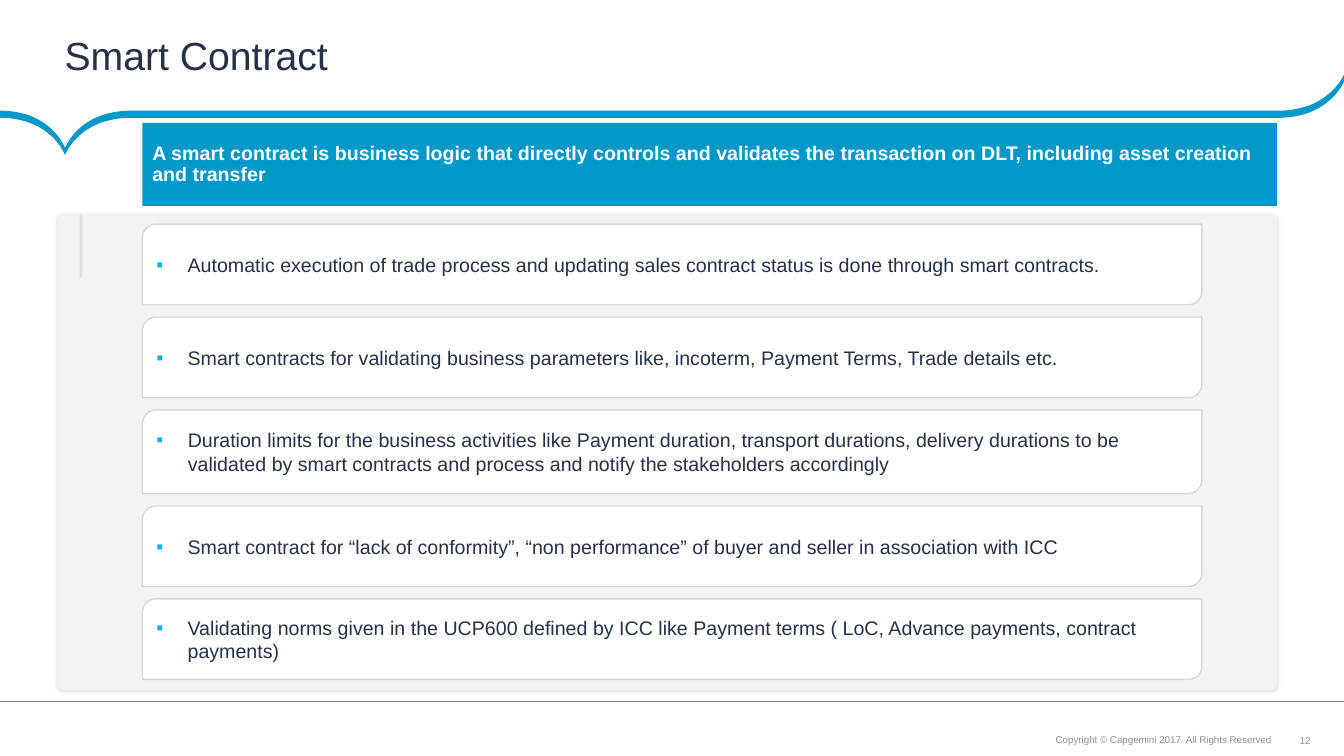
from dataclasses import dataclass

from lxml import etree
from pptx import Presentation
from pptx.dml.color import RGBColor
from pptx.enum.shapes import MSO_CONNECTOR, MSO_SHAPE
from pptx.enum.text import MSO_ANCHOR, PP_ALIGN
from pptx.oxml import parse_xml
from pptx.oxml.ns import qn
from pptx.util import Cm, Pt

RECT = MSO_SHAPE.RECTANGLE
ROUND = MSO_SHAPE.ROUNDED_RECTANGLE
DIAG = MSO_SHAPE.ROUND_2_DIAG_RECTANGLE
LINE = MSO_CONNECTOR.STRAIGHT
MIDDLE, BOTTOM = MSO_ANCHOR.MIDDLE, MSO_ANCHOR.BOTTOM
LEFT, CENTER, RIGHT = PP_ALIGN.LEFT, PP_ALIGN.CENTER, PP_ALIGN.RIGHT
SPACE = "http://schemas.openxmlformats.org/drawingml/2006/main"


@dataclass(frozen=True)
class Theme:
    font: str = "Arial"
    ink: RGBColor = RGBColor(0x26, 0x31, 0x47)
    blue: RGBColor = RGBColor(0x00, 0x98, 0xC7)
    panel: RGBColor = RGBColor(0xF2, 0xF3, 0xF4)
    white: RGBColor = RGBColor(0xFF, 0xFF, 0xFF)
    edge: RGBColor = RGBColor(0xD9, 0xD9, 0xD9)
    rule: RGBColor = RGBColor(0x80, 0x80, 0x80)
    note: RGBColor = RGBColor(0x99, 0x8C, 0x85)
    bullet: str = "00B0F0"
    title: Pt = Pt(28)
    body: Pt = Pt(14)
    small: Pt = Pt(7)


theme = Theme()


def write(shape, text, size, color, anchor=MIDDLE, align=LEFT, bold=False):
    frame = shape.text_frame
    frame.word_wrap = True
    frame.vertical_anchor = anchor
    frame.text = text
    para = frame.paragraphs[0]
    para.alignment = align
    font = para.runs[0].font
    font.name, font.size, font.bold = theme.font, size, bold
    font.color.rgb = color
    return para


def paint(shape, color):
    shape.fill.solid()
    shape.fill.fore_color.rgb = color
    shape.line.fill.background()


deck = Presentation()
deck.slide_width, deck.slide_height = Cm(33.87), Cm(19.05)
slide = deck.slides.add_slide(deck.slide_layouts[6])
shapes = slide.shapes

page = shapes.add_textbox(Cm(32.74), Cm(18.52), Cm(0.3), Cm(0.3))
frame = page.text_frame
frame.margin_left = frame.margin_right = frame.margin_top = frame.margin_bottom = 0
write(page, "12", theme.small, theme.note, align=CENTER)
frame.word_wrap = False

tip, turn, left = (33.87, 1.88), (32.21, 2.79), (3.3, 2.79)
low, end = (1.64, 3.73), (0, 2.79)
top = [tip, tip, (33.5, 2.79), turn, left, left, left,
       (1.98, 2.79), low, low, low, (1.3, 2.79), end]
base = [(x, y + 0.18) for x, y in reversed(top)]
ring = top + [base[0]] * 3 + base[1:] + [tip] * 3
points = [(Cm(x), Cm(y)) for x, y in ring]
pen = shapes.build_freeform(*points[0])
pen.add_line_segments(points[1:], close=True)
ribbon = pen.convert_to_shape()
ribbon.shadow.inherit = False
paint(ribbon, theme.blue)
steps = list(ribbon._element.iter(qn("a:lnTo")))
for first, second, third in zip(steps[::3], steps[1::3], steps[2::3]):
    bend = etree.Element(qn("a:cubicBezTo"))
    first.addprevious(bend)
    for step in (first, second, third):
        bend.append(step[0])
        step.getparent().remove(step)

rights = shapes.add_textbox(Cm(23.04), Cm(18.39), Cm(9.1), Cm(0.51))
frame = rights.text_frame
frame.margin_left = frame.margin_right = frame.margin_top = frame.margin_bottom = Cm(0.1)
para = write(rights, "Copyright © Capgemini 2017. All Rights Reserved",
             theme.small, theme.note, BOTTOM, RIGHT)
para.line_spacing = 0.9

title = shapes.add_textbox(0, 0, Cm(33.87), Cm(2.79))
frame = title.text_frame
frame.margin_left, frame.margin_right = Cm(1.63), Cm(0.46)
frame.margin_top = frame.margin_bottom = Cm(0.1)
write(title, "Smart Contract", theme.title, theme.ink)

banner = shapes.add_shape(RECT, Cm(3.59), Cm(3.1), Cm(28.59), Cm(2.09))
banner.shadow.inherit = False
paint(banner, theme.blue)
para = write(
    banner,
    "A smart contract is business logic that directly controls and validates "
    "the transaction on DLT, including asset creation and transfer",
    theme.body, theme.white, bold=True)
para.line_spacing = 0.9

group = shapes.add_group_shape()
panel = group.shapes.add_shape(ROUND, Cm(1.45), Cm(5.4), Cm(30.73), Cm(11.99))
panel.adjustments[0] = 0.012
paint(panel, theme.panel)
panel._element.spPr.append(parse_xml(
    f'<a:effectLst xmlns:a="{SPACE}">'
    '<a:outerShdw blurRad="38100" dist="12700" dir="5400000">'
    '<a:srgbClr val="000000"><a:alpha val="15000"/></a:srgbClr>'
    '</a:outerShdw></a:effectLst>'))

lines = [
    (shapes, 33.87, 17.68, 0, 17.68, theme.rule, 0.75),
    (group.shapes, 2.04, 5.4, 2.04, 6.98, theme.ink, 2),
]
for home, x1, y1, x2, y2, color, width in lines:
    line = home.add_connector(LINE, Cm(x1), Cm(y1), Cm(x2), Cm(y2))
    line.line.color.rgb = color
    line.line.width = Pt(width)
    etree.SubElement(line._element.spPr, qn("a:effectLst"))
tint = line._element.spPr.find(".//" + qn("a:srgbClr"))
etree.SubElement(tint, qn("a:alpha"), val="10000")

cards = [
    ("Automatic execution of trade process and updating sales contract status "
     "is done through smart contracts.", 2.03),
    ("Smart contracts for validating business parameters like, incoterm, "
     "Payment Terms, Trade details etc.", 2.03),
    ("Duration limits for the business activities like Payment duration, "
     "transport durations, delivery durations to be validated by smart contracts "
     "and process and notify the stakeholders accordingly", 2.11),
    ("Smart contract for “lack of conformity”, “non performance” of buyer and "
     "seller in association with ICC", 2.03),
    ("Validating norms given in the UCP600 defined by ICC like Payment terms "
     "( LoC, Advance payments, contract payments)", 2.03),
]
y, gap = 5.65, 0.31
for text, height in cards:
    card = shapes.add_shape(DIAG, Cm(3.59), Cm(y), Cm(26.7), Cm(height))
    card.shadow.inherit = False
    paint(card, theme.white)
    card.line.color.rgb = theme.edge
    card.line.width = Pt(1)
    para = write(card, text, theme.body, theme.ink)
    props = para._p.get_or_add_pPr()
    props.set("marL", str(Cm(0.79)))
    props.set("indent", str(-Cm(0.79)))
    tone = etree.SubElement(props, qn("a:buClr"))
    etree.SubElement(tone, qn("a:srgbClr"), val=theme.bullet)
    etree.SubElement(props, qn("a:buFont"), typeface=theme.font)
    etree.SubElement(props, qn("a:buChar"), char="▪")
    y += height + gap

deck.save("out.pptx")
